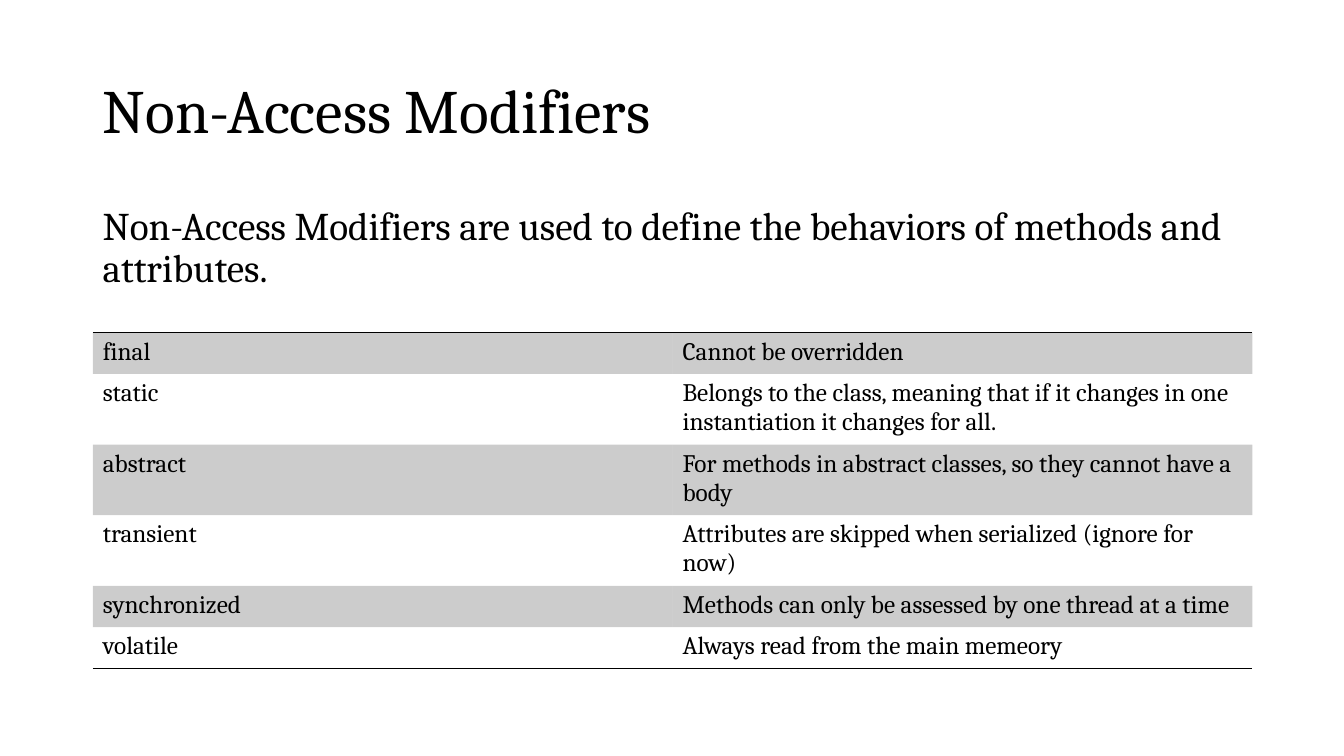
import pptx
import pptx.dml.color
import pptx.enum.text
import pptx.oxml
import pptx.oxml.ns
import pptx.util

SLIDE_WIDTH, SLIDE_HEIGHT = 13.33, 7.5
LEFT, CONTENT_WIDTH = 0.92, 11.5
ROW_HEIGHT = 0.41
COLORS = {"ink": "000000", "paper": "FFFFFF"}
FONT = "Cambria"
PLAIN_TABLE_STYLE = "{2D5ABB26-0587-4C30-8999-92F81FD0307C}"

TITLE = "Non-Access Modifiers"
INTRODUCTION = (
    "Non-Access Modifiers are used to define the behaviors of methods and attributes."
)
MODIFIERS = [
    ("final", "Cannot be overridden"),
    ("static", "Belongs to the class, meaning that if it changes in one instantiation it changes for all."),
    ("abstract", "For methods in abstract classes, so they cannot have a body"),
    ("transient", "Attributes are skipped when serialized (ignore for now)"),
    ("synchronized", "Methods can only be assessed by one thread at a time"),
    ("volatile", "Always read from the main memeory"),
]


def set_attributes(target, values):
    for name, value in values.items():
        setattr(target, name, value)


def color(name):
    return pptx.dml.color.RGBColor.from_string(COLORS[name])


def write_text(frame, text, size, **paragraph_format):
    frame.text = text
    paragraph = frame.paragraphs[0]
    set_attributes(paragraph, {"alignment": pptx.enum.text.PP_ALIGN.LEFT, **paragraph_format})
    font = paragraph.runs[0].font
    set_attributes(font, {"name": FONT, "size": pptx.util.Pt(size)})
    font.color.rgb = color("ink")


def place(shape, top, height):
    lengths = {"left": LEFT, "top": top, "width": CONTENT_WIDTH, "height": height}
    set_attributes(shape, {name: pptx.util.Inches(length) for name, length in lengths.items()})


def add_title(slide):
    title = slide.shapes.title
    place(title, 0.4, 1.45)
    set_attributes(title.text_frame, {
        "word_wrap": True,
        "auto_size": pptx.enum.text.MSO_AUTO_SIZE.NONE,
        "vertical_anchor": pptx.enum.text.MSO_ANCHOR.MIDDLE,
    })
    write_text(title.text_frame, TITLE, 44, line_spacing=0.9)


def add_introduction(slide):
    box = slide.shapes.add_textbox(0, 0, 0, 0)
    place(box, 2, 4.76)
    box.text_frame.word_wrap = True
    write_text(box.text_frame, INTRODUCTION, 28, line_spacing=0.9, space_before=pptx.util.Pt(10))


def shade_cell(cell):
    cell.fill.solid()
    cell.fill.fore_color.rgb = color("ink")
    solid_color = cell.fill.fore_color._xFill[0]
    alpha = pptx.oxml.parse_xml(
        f'<a:alpha {pptx.oxml.ns.nsdecls("a")} val="20000"/>'
    )
    solid_color.append(alpha)


def add_border(cell, side):
    line = pptx.oxml.parse_xml(
        f'<a:{side} {pptx.oxml.ns.nsdecls("a")} w="{pptx.util.Pt(1)}">'
        f'<a:solidFill><a:srgbClr val="{COLORS["ink"]}"/></a:solidFill></a:{side}>'
    )
    cell._tc.get_or_add_tcPr().insert(0, line)


def add_modifier_table(slide):
    row_count, column_count = len(MODIFIERS), len(MODIFIERS[0])
    frame = slide.shapes.add_table(
        row_count, column_count,
        pptx.util.Inches(LEFT), pptx.util.Inches(3.3),
        pptx.util.Inches(CONTENT_WIDTH), pptx.util.Inches(ROW_HEIGHT * row_count),
    )
    table = frame.table
    set_attributes(table, {"first_row": False, "horz_banding": False})
    table._tbl.tblPr.find(pptx.oxml.ns.qn("a:tableStyleId")).text = PLAIN_TABLE_STYLE
    for row, texts in enumerate(MODIFIERS):
        for column, text in enumerate(texts):
            cell = table.cell(row, column)
            write_text(cell.text_frame, text, 18)
            if row % 2 == 0:
                shade_cell(cell)
            else:
                cell.fill.background()
            if row == 0:
                add_border(cell, "lnT")
            if row == row_count - 1:
                add_border(cell, "lnB")


def main():
    presentation = pptx.Presentation()
    set_attributes(presentation, {
        "slide_width": pptx.util.Inches(SLIDE_WIDTH),
        "slide_height": pptx.util.Inches(SLIDE_HEIGHT),
    })
    slide = presentation.slides.add_slide(presentation.slide_layouts.get_by_name("Title Only"))
    slide.background.fill.solid()
    slide.background.fill.fore_color.rgb = color("paper")
    add_title(slide)
    add_introduction(slide)
    add_modifier_table(slide)
    presentation.save("out.pptx")


if __name__ == "__main__":
    main()
